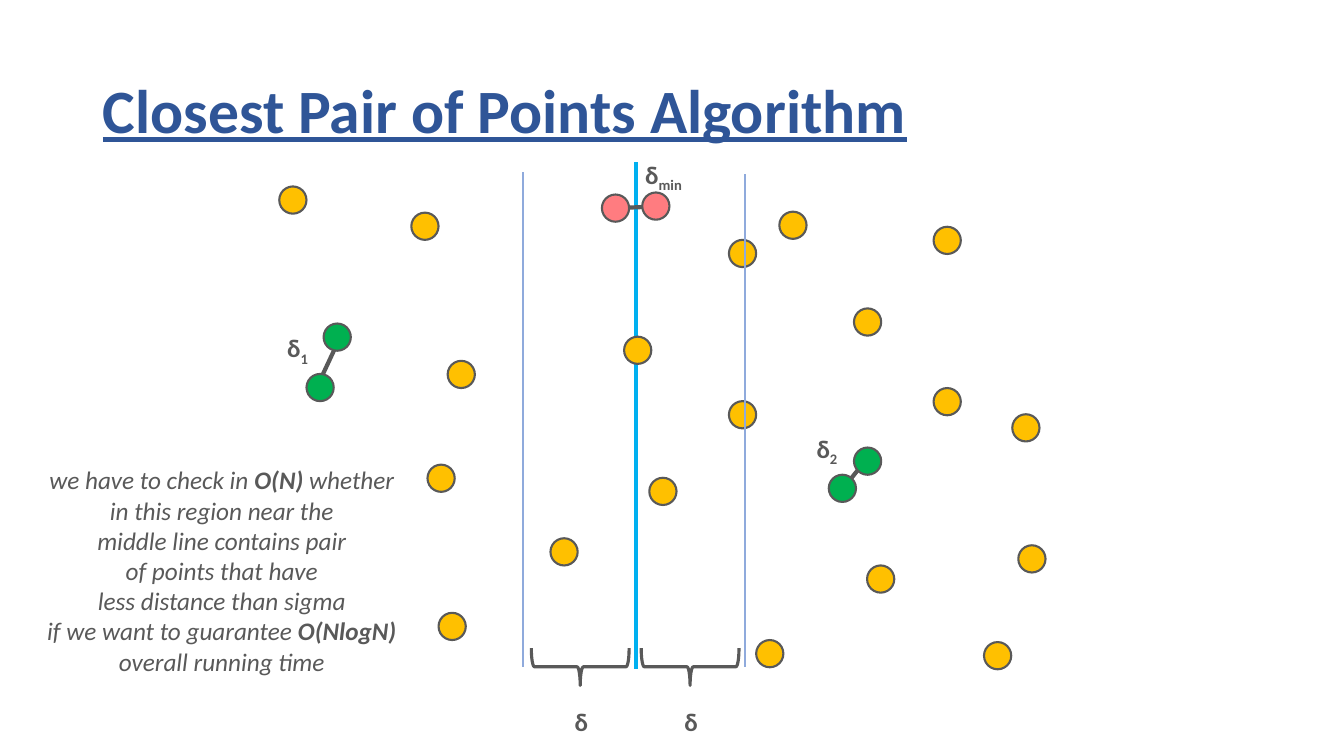
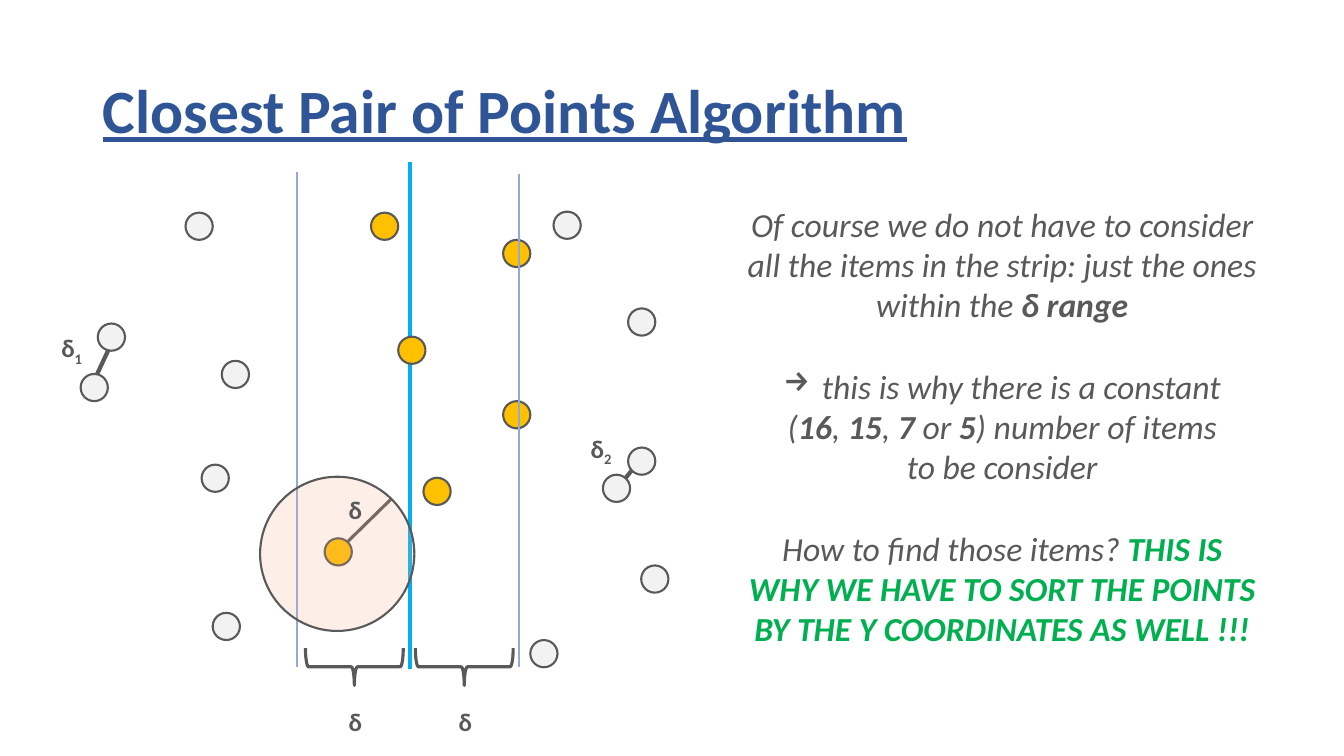
from lxml.etree import SubElement
from pptx import Presentation
from pptx.dml.color import RGBColor
from pptx.enum.shapes import MSO_CONNECTOR, MSO_SHAPE
from pptx.enum.text import MSO_ANCHOR, PP_ALIGN
from pptx.oxml.ns import qn
from pptx.util import Inches, Pt

COLORS = {
    "title": "2F5597",
    "ink": "595959",
    "middle": "00B0F0",
    "edge": "8FAADC",
    "point": "FFC000",
    "pair": "00B050",
    "closest": "FF7C80",
    "ignored": "F2F2F2",
    "range": "F7AB8D",
}
FONT = "Calibri"
DOT = 0.27
BLANK_LINE = 29.3  # points, one line of 24 pt text

# Coordinates on the first slide; the second slide shifts them left.
SHIFT = -2.24
OUTER_POINTS = [(4.44, 3.58), (4.08, 2.11), (4.24, 4.61), (4.35, 6.08),
                (7.73, 2.1), (8.47, 3.06), (7.5, 6.35), (8.6, 5.61)]
FAR_POINTS = [(2.77, 1.85), (10.04, 4.11), (9.26, 2.25), (9.26, 3.85),
              (9.76, 6.37), (10.1, 5.41)]
STRIP_POINTS = [(5.46, 5.34), (6.19, 3.34), (6.44, 4.74), (7.23, 2.38),
                (7.23, 3.98)]
PAIR_POINTS = [(3.21, 3.21), (3.04, 3.71), (8.22, 4.71), (8.47, 4.44)]
PAIR_LINKS = [((3.12, 3.89), (3.4, 3.29)), ((8.31, 4.91), (8.64, 4.5))]


class Deck:
    """Holds the shared style and the current slide."""

    def __init__(self):
        """Start a wide presentation and place the layout title."""
        self.prs = Presentation()
        self.prs.slide_width = Inches(13.33)
        self.prs.slide_height = Inches(7.5)
        self.layout = self.prs.slide_layouts[5]
        self.slide = None
        self.place_title(self.layout.placeholders[0])

    def place_title(self, title):
        """Move a title placeholder to its shared position."""
        title.left, title.top = Inches(0.92), Inches(0.4)
        title.width, title.height = Inches(11.5), Inches(1.45)

    def color(self, name):
        """Return a named colour."""
        return RGBColor.from_string(COLORS[name])

    def style(self, run, size, color="ink", bold=False, italic=False):
        """Format one run."""
        run.font.name, run.font.size = FONT, Pt(size)
        run.font.bold, run.font.italic = bold, italic
        run.font.color.rgb = self.color(color)

    def new_slide(self, heading):
        """Add a slide with the underlined title."""
        self.slide = self.prs.slides.add_slide(self.layout)
        title = self.slide.shapes.title
        self.place_title(title)
        frame = title.text_frame
        frame.text = heading
        frame.vertical_anchor = MSO_ANCHOR.MIDDLE
        paragraph = frame.paragraphs[0]
        paragraph.alignment = PP_ALIGN.LEFT
        paragraph.line_spacing = 0.9
        self.style(paragraph.runs[0], 44, "title", bold=True)
        paragraph.runs[0].font.underline = True

    def line(self, start, end, color="ink", width=3):
        """Draw a straight line without shadow."""
        line = self.slide.shapes.add_connector(
            MSO_CONNECTOR.STRAIGHT, *(Inches(v) for v in (*start, *end)))
        line.line.color.rgb = self.color(color)
        line.line.width = Pt(width)
        SubElement(line._element.spPr, qn("a:effectLst"))

    def shape(self, kind, left, top, width, height, line_width):
        """Add an unfilled outlined shape."""
        shape = self.slide.shapes.add_shape(
            kind, *(Inches(v) for v in (left, top, width, height)))
        shape.shadow.inherit = False
        shape.fill.background()
        shape.line.color.rgb = self.color("ink")
        shape.line.width = Pt(line_width)
        return shape

    def circle(self, left, top, color, size=DOT, opacity=100):
        """Add a filled circle, see-through if opacity is below 100."""
        circle = self.shape(MSO_SHAPE.OVAL, left, top, size, size, 1.5)
        circle.fill.solid()
        circle.fill.fore_color.rgb = self.color(color)
        if opacity < 100:
            fill = circle._element.spPr.find(qn("a:solidFill"))
            SubElement(fill[0], qn("a:alpha"), val=str(opacity * 1000))

    def brace(self, left):
        """Add a brace that opens upwards."""
        brace = self.shape(MSO_SHAPE.LEFT_BRACE, left, 6.13, 0.37, 0.97, 2.25)
        brace.rotation = 270

    def text_box(self, left, top, width, height):
        """Add an empty, non-wrapping text box and return its frame."""
        box = self.slide.shapes.add_textbox(
            *(Inches(v) for v in (left, top, width, height)))
        box.text_frame.word_wrap = False
        return box.text_frame

    def delta(self, left, top, index="", width=0.42):
        """Write a delta with an optional subscript."""
        paragraph = self.text_box(left, top, width, 0.4).paragraphs[0]
        for part in filter(None, ("δ", index)):
            run = paragraph.add_run()
            run.text = part
            self.style(run, 18, bold=True)
            if part == index:
                run._r.get_or_add_rPr().set("baseline", "-25000")

    def remark(self, area, size, lines, strong="ink", gaps=(), arrows=()):
        """Write centred italic lines; parts between bars are bold."""
        frame = self.text_box(*area)
        for number, text in enumerate(lines):
            paragraph = frame.paragraphs[0] if number == 0 else frame.add_paragraph()
            paragraph.alignment = PP_ALIGN.CENTER
            if number in gaps:
                paragraph.space_before = Pt(BLANK_LINE)
            if number in arrows:
                self.arrow_bullet(paragraph)
            for position, part in enumerate(text.split("|")):
                if part:
                    run = paragraph.add_run()
                    run.text = part
                    bold = position % 2 == 1
                    accent = strong if bold and part.isupper() else "ink"
                    self.style(run, size, accent, bold, italic=True)

    def arrow_bullet(self, paragraph):
        """Give a paragraph an arrow as its bullet."""
        properties = paragraph._p.get_or_add_pPr()
        properties.set("marL", str(Inches(0.38)))
        properties.set("indent", str(-Inches(0.38)))
        SubElement(properties, qn("a:buChar"), char="→")


def draw_plane(deck, shift, outer, pair):
    """Draw the divided plane with its points, strip and distances."""
    middle = 6.31 + shift
    deck.line((middle, 1.61), (middle, 6.64), "middle")
    for (x1, y1), (x2, y2) in PAIR_LINKS:
        deck.line((x1 + shift, y1), (x2 + shift, y2))
    for points, color in ((OUTER_POINTS, outer), (PAIR_POINTS, pair),
                          (STRIP_POINTS, "point")):
        for left, top in points:
            deck.circle(left + shift, top, color)
    for x, top in ((5.19, 1.71), (7.39, 1.73)):
        deck.line((x + shift, top), (x + shift, 6.62), "edge", 1.5)
    for left in (5.57, 6.66):
        deck.brace(left + shift)
        deck.delta(left + 0.03 + shift, 6.96, width=0.34)
    deck.delta(2.75 + shift, 3.25, "1")
    deck.delta(8 + shift, 4.25, "2")


def build_strip_slide(deck):
    """Show the closest pair that straddles the middle line."""
    deck.new_slide("Closest Pair of Points Algorithm")
    draw_plane(deck, 0, "point", "pair")
    for left, top in FAR_POINTS:
        deck.circle(left, top, "point")
    deck.line((5.97, 2.07), (6.49, 2.05))
    for left, top in ((5.97, 1.93), (6.37, 1.91)):
        deck.circle(left, top, "closest")
    deck.delta(6.3, 1.53, "min", 0.82)
    deck.remark((0.36, 4.56, 3.68, 2.22), 18, [
        "we have to check in |O(N)| whether",
        "in this region near the",
        "middle line contains pair",
        "of points that have",
        "less distance than sigma",
        "if we want to guarantee |O(NlogN)|",
        "overall running time",
    ])


def build_range_slide(deck):
    """Show the delta range around one point of the strip."""
    deck.new_slide("Closest Pair of Points Algorithm")
    deck.line((3.34, 5.48), (3.88, 4.95), width=2.25)
    draw_plane(deck, SHIFT, "ignored", "ignored")
    deck.circle(3.68, 2.11, "point")
    deck.remark((7.29, 1.97, 5.3, 4.54), 24, [
        "Of course we do not have to consider",
        "all the items in the strip: just the ones",
        "within the |δ range|",
        "this is why there is a constant",
        "(|16|, |15|, |7| or |5|) number of items",
        "to be consider",
        "How to find those items? |THIS IS|",
        "|WHY WE HAVE TO SORT THE POINTS|",
        "|BY THE Y COORDINATES AS WELL !!!|",
    ], strong="pair", gaps=(3, 6), arrows=(3,))
    deck.circle(2.58, 4.73, "range", size=1.53, opacity=20)
    deck.delta(3.36, 4.86, width=0.34)


deck = Deck()
build_strip_slide(deck)
build_range_slide(deck)
deck.prs.save("out.pptx")
